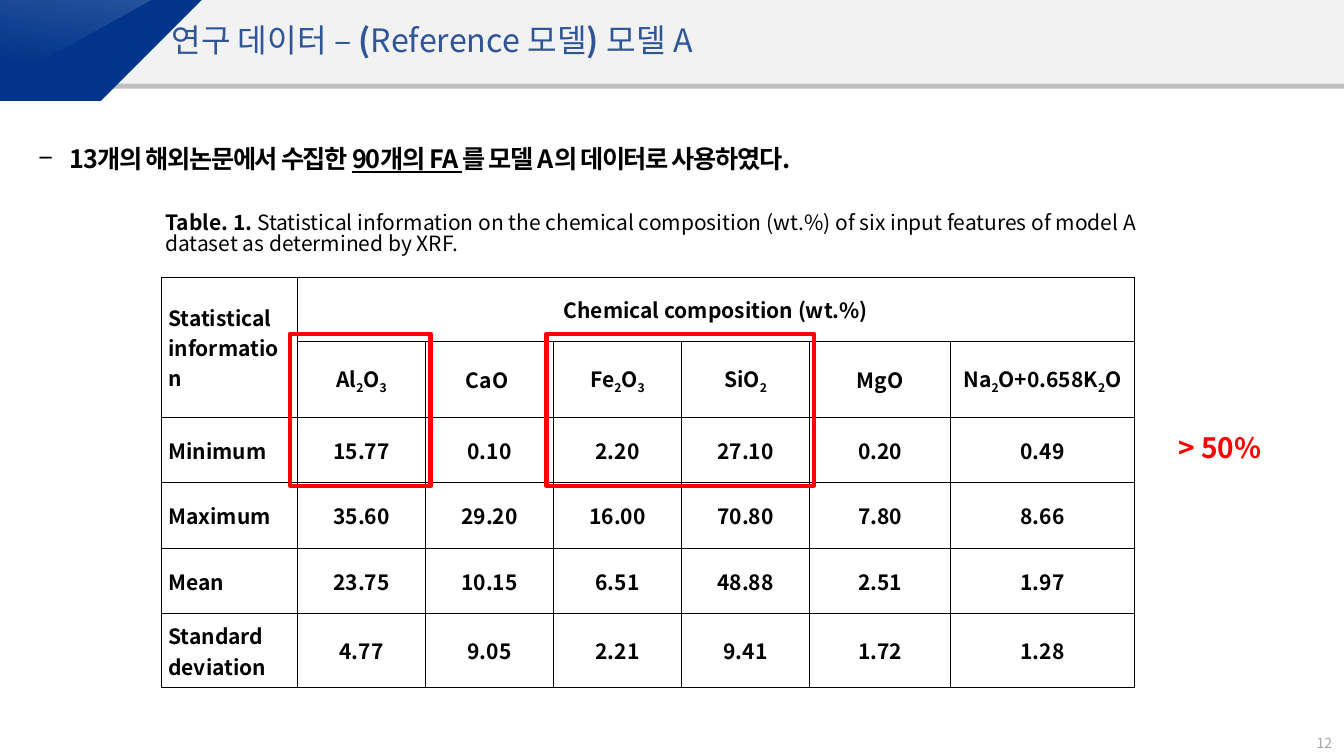
"""Build the research data slide with the chemical composition table of model A."""
from dataclasses import dataclass, field

import pptx
import pptx.dml.color
import pptx.enum.shapes
import pptx.enum.text
import pptx.oxml
import pptx.oxml.ns
import pptx.util
from lxml import etree

Inches = pptx.util.Inches
Pt = pptx.util.Pt
RGBColor = pptx.dml.color.RGBColor
Shape = pptx.enum.shapes.MSO_SHAPE
Align = pptx.enum.text.PP_ALIGN
Anchor = pptx.enum.text.MSO_ANCHOR
AutoSize = pptx.enum.text.MSO_AUTO_SIZE
qn = pptx.oxml.ns.qn

FONT = "Noto Sans CJK KR"
BLACK = RGBColor(0x00, 0x00, 0x00)
WHITE = RGBColor(0xFF, 0xFF, 0xFF)
RED = RGBColor(0xFF, 0x00, 0x00)
TITLE_BLUE = RGBColor(0x2F, 0x55, 0x97)
NAVY = RGBColor(0x01, 0x35, 0x8B)
SKY = RGBColor(0x20, 0x92, 0xD0)
SILVER = RGBColor(0xD1, 0xD2, 0xD4)
BAND_GREY = RGBColor(0xF2, 0xF2, 0xF2)
RULE_GREY = RGBColor(0xBF, 0xBF, 0xBF)
NUMBER_GREY = RGBColor(0xA6, 0xA6, 0xA6)

COLUMN_WIDTHS = [1.35, 1.27, 1.27, 1.27, 1.27, 1.4, 1.82]
ROW_HEIGHTS = [0.64, 0.75, 0.65, 0.65, 0.65, 0.73]
HEADER = "Chemical composition (wt.%)"
ROWS = [
    ["Statistical \ninformation", HEADER, "", "", "", "", ""],
    ["", "Al_2O_3", "CaO ", "Fe_2O_3", "SiO_2", "MgO", "Na_2O+0.658K_2O"],
    ["Minimum", "15.77", "0.10", "2.20", "27.10", "0.20", "0.49"],
    ["Maximum", "35.60", "29.20", "16.00", "70.80", "7.80", "8.66"],
    ["Mean", "23.75", "10.15", "6.51", "48.88", "2.51", "1.97"],
    ["Standard \ndeviation", "4.77", "9.05", "2.21", "9.41", "1.72", "1.28"],
]


@dataclass
class Span:
    text: str
    style: dict = field(default_factory=dict)
    extra: dict = field(default_factory=dict)


@dataclass
class Label:
    box: tuple
    lines: list
    style: dict
    para: dict = field(default_factory=dict)
    frame: dict = field(default_factory=dict)


BOLD = {"bold": True}
TIGHT = {"spc": "-100"}
LOOSE = {"word_wrap": False, "auto_size": AutoSize.SHAPE_TO_FIT_TEXT}

TITLE = Label(
    (1.6, 0.19, 5.92, 0.49),
    [[Span("연구 데이터 – "), Span("(", BOLD), Span("Reference 모델"), Span(") ", BOLD), Span("모델 A")]],
    {"size": Pt(23), "color": TITLE_BLUE},
    {"alignment": Align.LEFT, "line_spacing": 0.9},
    LOOSE,
)
STATEMENT = Label(
    (0.28, 1.22, 12.76, 0.48),
    [[
        Span("13개의 해외논문에서 수집한 ", extra=TIGHT),
        Span("90개의 FA ", {"underline": True}, TIGHT),
        Span("를 모델 A의 데이터로 사용하였다.", extra=TIGHT),
    ]],
    {"size": Pt(18), "color": BLACK, "bold": True},
    {"alignment": Align.JUSTIFY, "line_spacing": 1.5, "space_before": Pt(0)},
    {"word_wrap": True, "auto_size": AutoSize.SHAPE_TO_FIT_TEXT},
)
LABELS = [
    Label((12.77, 7.15, 0.73, 0.44), [[Span("12")]], {"size": Pt(10), "color": NUMBER_GREY},
          {"alignment": Align.CENTER}, {"vertical_anchor": Anchor.MIDDLE, "word_wrap": True}),
    Label((1.54, 2.07, 9.92, 0.61), [
        [Span("Table. 1. ", BOLD), Span("Statistical information on the chemical composition (wt.%) "
                                        "of six input features of model A")],
        [Span("dataset as determined by XRF.")],
    ], {"size": Pt(15), "color": BLACK}, {"line_spacing": 0.83}, LOOSE),
    Label((11.59, 4.26, 1.12, 0.44), [[Span("> 50%")]],
          {"size": Pt(20), "color": RED, "bold": True}, {"line_spacing": 0.9}, LOOSE),
]
HIGHLIGHTS = [(2.88, 3.31, 1.39, 1.51), (5.42, 3.31, 2.65, 1.51)]


def apply(target: object, values: dict) -> None:
    for name, value in values.items():
        setattr(target, name, value)


def write(frame: object, lines: list, style: dict, para_style: dict) -> None:
    for index, spans in enumerate(lines):
        para = frame.add_paragraph() if index else frame.paragraphs[0]
        apply(para, para_style)
        for span in spans:
            run = para.add_run()
            run.text = span.text
            values = {"name": FONT, **style, **span.style}
            run.font.color.rgb = values.pop("color")
            apply(run.font, values)
            properties = run.font._element
            etree.SubElement(properties, qn("a:ea")).set("typeface", FONT)
            for name, value in span.extra.items():
                properties.set(name, value)


def fill_label(shape: object, label: Label) -> None:
    sides = zip(("left", "top", "width", "height"), map(Inches, label.box))
    apply(shape, dict(sides))
    apply(shape.text_frame, {"vertical_anchor": Anchor.TOP, **label.frame})
    write(shape.text_frame, label.lines, label.style, label.para)


def add_box(page: object, kind: Shape, box: tuple, color: RGBColor | None = None) -> object:
    shape = page.shapes.add_shape(kind, *map(Inches, box))
    shape.shadow.inherit = False
    shape.line.fill.background()
    if color is None:
        shape.fill.background()
    else:
        shape.fill.solid()
        shape.fill.fore_color.rgb = color
    return shape


def add_corner(page: object, points: list, color: RGBColor) -> object:
    builder = page.shapes.build_freeform(0, 0, scale=Inches(1))
    builder.add_line_segments(points, close=True)
    shape = builder.convert_to_shape()
    shape.shadow.inherit = False
    shape.line.fill.background()
    shape.fill.solid()
    shape.fill.fore_color.rgb = color
    return shape


def shade(shape: object, stops: list, angle: float) -> None:
    shape.fill.gradient()
    shape.fill.gradient_angle = angle
    for stop, (position, color, opacity) in zip(shape.fill.gradient_stops, stops):
        stop.position = position
        stop.color.rgb = color
        if opacity < 100:
            tone = next(shape.element.iter(qn("a:gsLst")))[stops.index((position, color, opacity))][0]
            etree.SubElement(tone, qn("a:alpha")).set("val", str(opacity * 1000))


def add_banner(page: object) -> None:
    add_box(page, Shape.RECTANGLE, (0.03, 0, 13.3, 0.85), BAND_GREY)
    add_box(page, Shape.RECTANGLE, (0.03, 0.83, 13.3, 0.05), RULE_GREY)
    edge = add_corner(page, [(1.62, 0), (1.25, 0.96), (0, 0.96)], SKY)
    shade(edge, [(0.83, SKY, 100), (1, SILVER, 100)], 130)
    add_corner(page, [(1.61, 0), (1.18, 0.91), (0, 0.91)], NAVY)
    gloss = add_box(page, Shape.RIGHT_TRIANGLE, (-0.01, -0.01, 1.54, 0.85), WHITE)
    gloss.element.spPr.find(qn("a:xfrm")).set("flipV", "1")
    shade(gloss, [(0.23, WHITE, 0), (1, WHITE, 15)], 280)


def formula(text: str) -> list:
    first, *rest = text.split("_")
    spans = [Span(first)]
    for part in rest:
        spans.append(Span(part[0], extra={"baseline": "-25000"}))
        if part[1:]:
            spans.append(Span(part[1:]))
    return spans


def outline_cell(cell: object) -> None:
    properties = cell._tc.get_or_add_tcPr()
    for index, side in enumerate("LRTB"):
        line = pptx.oxml.parse_xml(
            f'<a:ln{side} xmlns:a="http://schemas.openxmlformats.org/drawingml/2006/main" w="12700">'
            f'<a:solidFill><a:srgbClr val="{BLACK}"/></a:solidFill></a:ln{side}>')
        properties.insert(index, line)


def add_composition_table(page: object) -> None:
    size = map(Inches, (1.6, 2.75, sum(COLUMN_WIDTHS), sum(ROW_HEIGHTS)))
    table = page.shapes.add_table(len(ROWS), len(COLUMN_WIDTHS), *size).table
    apply(table, {"first_row": False, "horz_banding": False})
    for column, width in zip(table.columns, COLUMN_WIDTHS):
        column.width = Inches(width)
    for row, height in zip(table.rows, ROW_HEIGHTS):
        row.height = Inches(height)
    table.cell(0, 0).merge(table.cell(1, 0))
    table.cell(0, 1).merge(table.cell(0, 6))
    style = {"size": Pt(15), "color": BLACK, "bold": True}
    layout = {"vertical_anchor": Anchor.MIDDLE, "margin_left": Inches(0.07),
              "margin_right": Inches(0.07), "margin_top": 0, "margin_bottom": 0}
    for row_index, texts in enumerate(ROWS):
        for column_index, text in enumerate(texts):
            cell = table.cell(row_index, column_index)
            apply(cell, layout)
            cell.fill.background()
            outline_cell(cell)
            if text:
                alignment = Align.CENTER if column_index else Align.JUSTIFY
                lines = [formula(line) for line in text.split("\n")]
                write(cell.text_frame, lines, style, {"alignment": alignment})


def main() -> None:
    deck = pptx.Presentation()
    apply(deck, {"slide_width": Inches(13.33), "slide_height": Inches(7.5)})
    page = deck.slides.add_slide(deck.slide_layouts[1])
    title, body = page.placeholders
    add_banner(page)
    for shape, label in ((body, STATEMENT), (title, TITLE)):
        fill_label(shape, label)
        shape.element.getparent().append(shape.element)
    bullet = body.text_frame.paragraphs[0]._p.get_or_add_pPr()
    bullet.set("marL", str(Inches(0.31)))
    bullet.set("indent", str(-Inches(0.31)))
    etree.SubElement(bullet, qn("a:buChar")).set("char", "−")
    add_composition_table(page)
    for box in HIGHLIGHTS:
        frame = add_box(page, Shape.FLOWCHART_PROCESS, box)
        frame.line.color.rgb = RED
        frame.line.width = Pt(3)
    for label in LABELS:
        fill_label(page.shapes.add_textbox(0, 0, 0, 0), label)
    deck.save("out.pptx")


if __name__ == "__main__":
    main()
